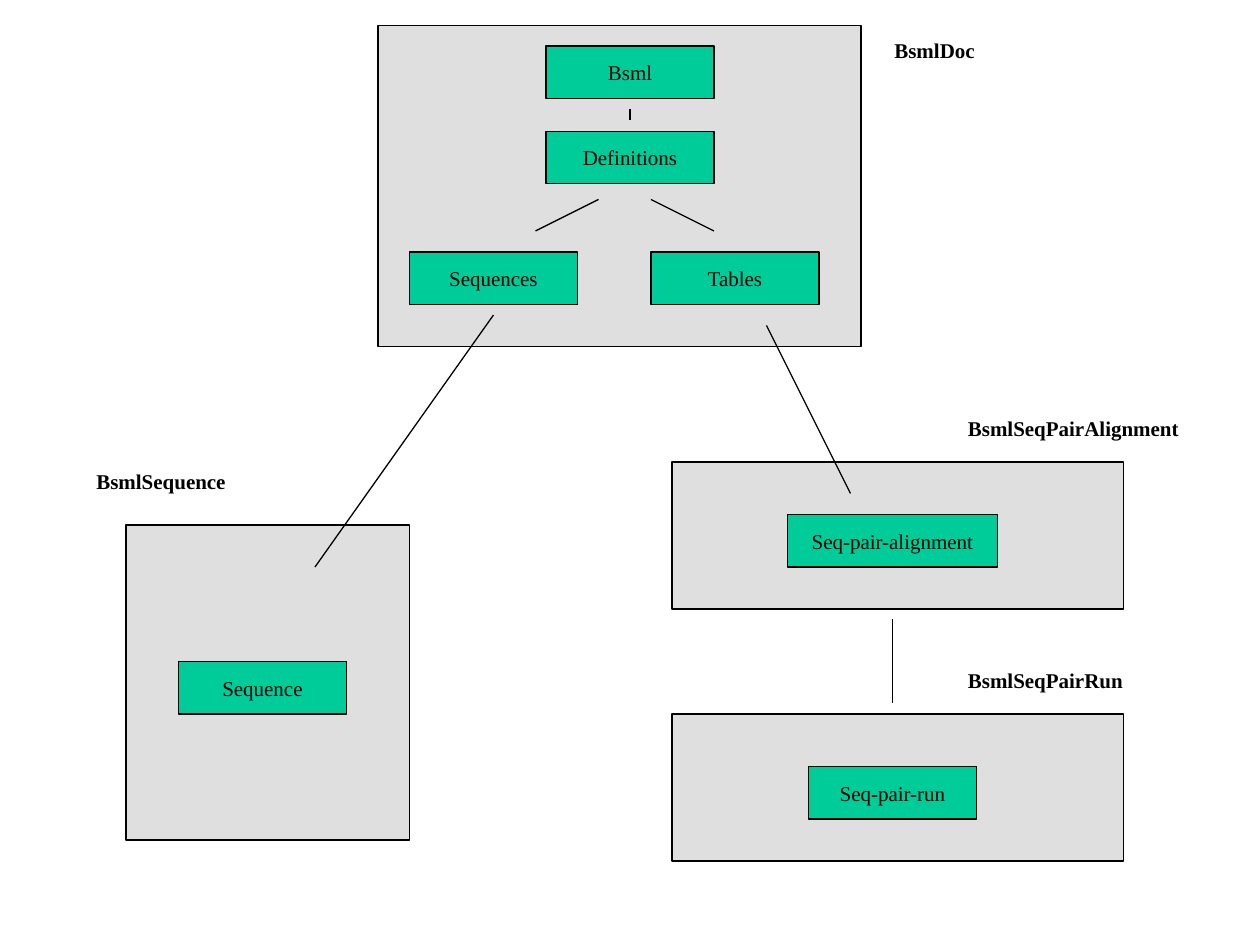
from lxml.etree import SubElement
from pptx import Presentation
from pptx.dml.color import RGBColor
from pptx.enum.shapes import MSO_CONNECTOR, MSO_SHAPE
from pptx.enum.text import MSO_ANCHOR, MSO_AUTO_SIZE, PP_ALIGN
from pptx.oxml.ns import qn
from pptx.util import Pt

SCALE = 7620
BLACK = RGBColor(0x00, 0x00, 0x00)
GRAY = RGBColor(0xC0, 0xC0, 0xC0)
GREEN = RGBColor(0x00, 0xCC, 0x99)
FONT = "Times New Roman"
NODE_WIDTH, NODE_HEIGHT = 160, 50

REGIONS = [
    ((640, 680, 430, 140), "BsmlSeqPairRun", (270, -50, 250, 96),
     [("Seq-pair-run", 130, 50, NODE_WIDTH)]),
    ((120, 500, 270, 300), "BsmlSequence", (-40, -60, 310, 36),
     [("Sequence", 50, 130, NODE_WIDTH)]),
    ((640, 440, 430, 140), "BsmlSeqPairAlignment", (270, -50, 250, 96),
     [("Seq-pair-alignment", 110, 50, 200)]),
    ((360, 24, 460, 306), "BsmlDoc", (480, 6, 120, 96),
     [("Bsml", 160, 20, NODE_WIDTH), ("Definitions", 160, 101, NODE_WIDTH),
      ("Sequences", 30, 216, NODE_WIDTH), ("Tables", 260, 216, NODE_WIDTH)]),
]
LINKS = [
    (600, 104, 600, 114),
    (570, 190, 510, 220),
    (680, 220, 620, 190),
    (470, 300, 300, 540),
    (730, 310, 810, 470),
    (850, 590, 850, 670),
]


def px(*lengths):
    """Turn pixel lengths into EMU."""
    return [length * SCALE for length in lengths]


def write_text(frame, text, bold=False):
    """Put one formatted line of text into a frame."""
    frame.text = text
    font = frame.paragraphs[0].runs[0].font
    font.name, font.size, font.bold = FONT, Pt(12), bold
    font.color.rgb = BLACK


def add_box(page, box, color):
    """Add an outlined rectangle without a shadow."""
    shape = page.shapes.add_shape(MSO_SHAPE.RECTANGLE, *px(*box))
    shape.shadow.inherit = False
    shape.fill.solid()
    shape.fill.fore_color.rgb = color
    shape.line.color.rgb = BLACK
    shape.line.width = Pt(0.75)
    return shape


def add_node(page, box, text):
    """Add a green box with a centred element name."""
    frame = add_box(page, box, GREEN).text_frame
    frame.word_wrap = False
    frame.vertical_anchor = MSO_ANCHOR.MIDDLE
    write_text(frame, text)
    frame.paragraphs[0].alignment = PP_ALIGN.CENTER


def add_label(page, box, text):
    """Add the bold class name of a region."""
    frame = page.shapes.add_textbox(*px(*box)).text_frame
    frame.word_wrap = True
    frame.auto_size = MSO_AUTO_SIZE.SHAPE_TO_FIT_TEXT
    write_text(frame, text, bold=True)


def add_region(page, box, label, label_box, nodes):
    """Add a half-transparent panel with its label and nodes placed relative to it."""
    left, top, _, _ = box
    panel = add_box(page, box, GRAY)
    color = panel.fill._xPr.find(f"{qn('a:solidFill')}/{qn('a:srgbClr')}")
    SubElement(color, qn("a:alpha"), val="50000")
    for text, x, y, width in nodes:
        add_node(page, (left + x, top + y, width, NODE_HEIGHT), text)
    x, y, width, height = label_box
    add_label(page, (left + x, top + y, width, height), label)


def add_link(page, ends):
    """Add a thin black line between two points."""
    link = page.shapes.add_connector(MSO_CONNECTOR.STRAIGHT, *px(*ends))
    link.line.color.rgb = BLACK
    link.line.width = Pt(0.75)
    SubElement(link._element.spPr, qn("a:effectLst"))


def main():
    """Build the class diagram and save it."""
    deck = Presentation()
    deck.slide_width, deck.slide_height = px(1200, 900)
    page = deck.slides.add_slide(deck.slide_layouts[6])
    for region in REGIONS:
        add_region(page, *region)
    for ends in LINKS:
        add_link(page, ends)
    deck.save("out.pptx")


if __name__ == "__main__":
    main()
